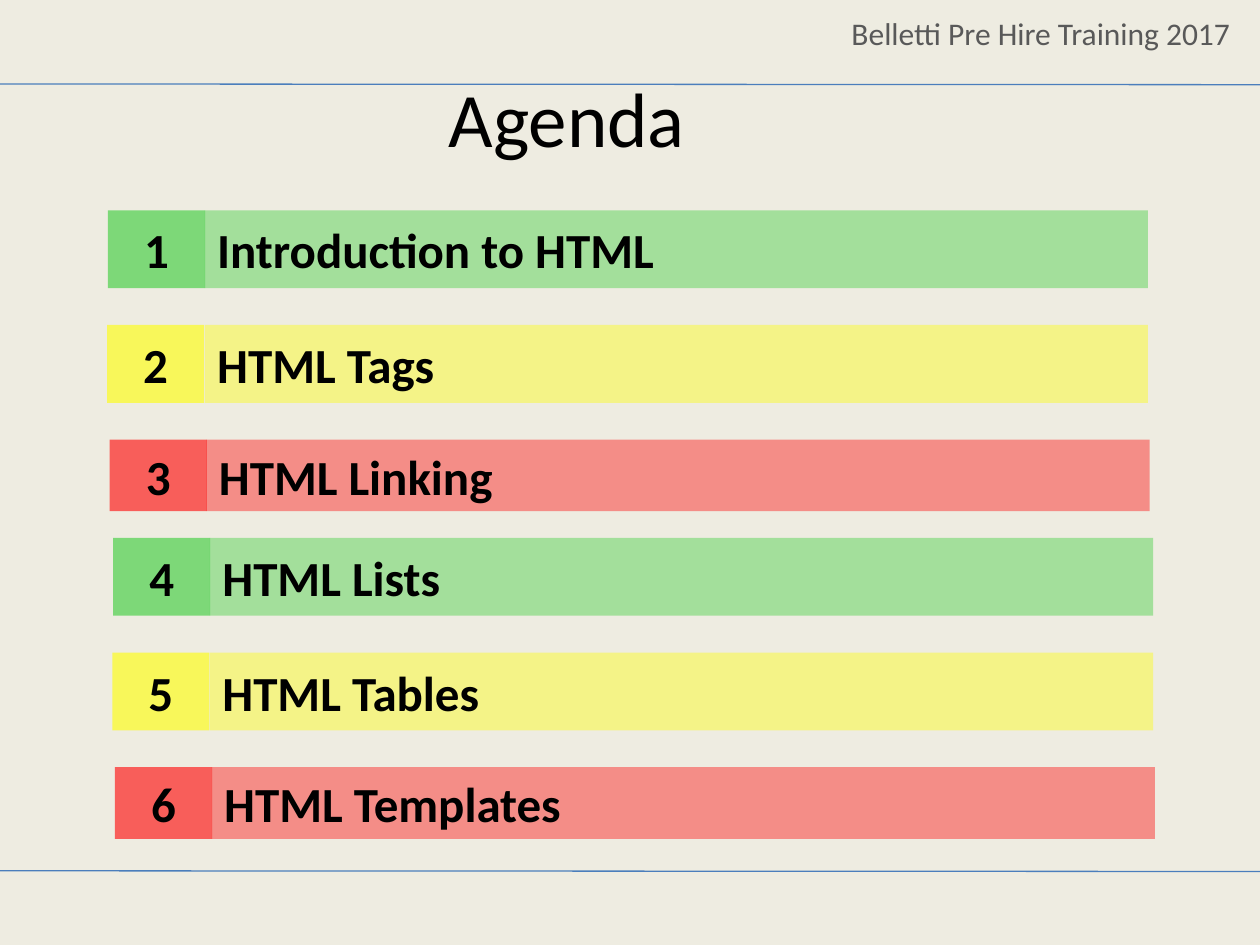
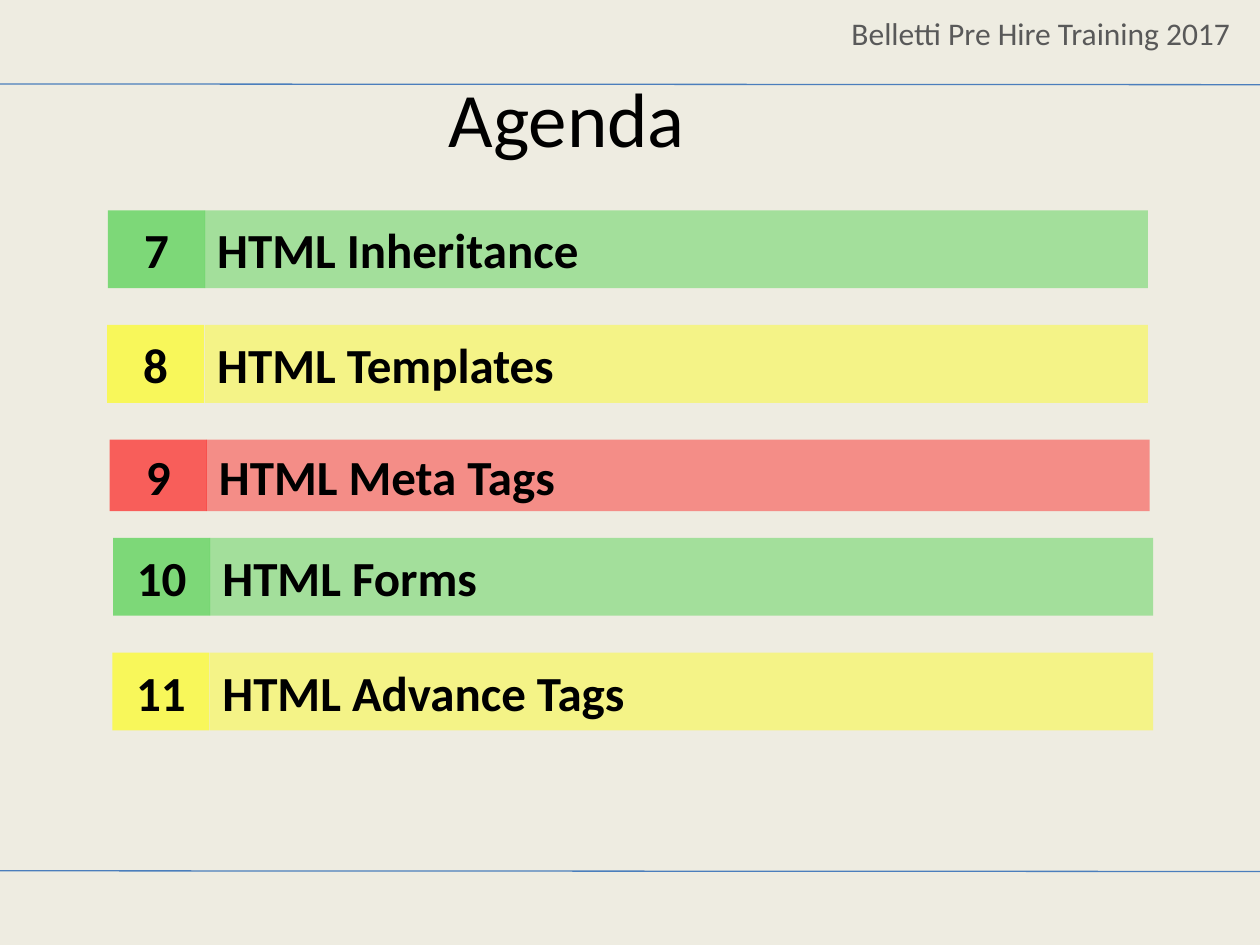
import dataclasses
import itertools

import lxml.etree
import pptx
import pptx.dml.color
import pptx.enum.shapes
import pptx.enum.text
import pptx.oxml.ns
import pptx.util

Pt = pptx.util.Pt
ALIGN = pptx.enum.text.PP_ALIGN
ANCHOR = pptx.enum.text.MSO_ANCHOR
SHAPE = pptx.enum.shapes.MSO_SHAPE
LINK = pptx.enum.shapes.MSO_CONNECTOR

FACE = "Calibri"
HEADER = "Belletti Pre Hire Training 2017"
COLORS = {
    "paper": "EEECE1",
    "rule": "4B7EBC",
    "muted": "595959",
    "text": "000000",
    "green": "33CC33",
    "yellow": "FFFF00",
    "red": "FF0000",
}


@dataclasses.dataclass(frozen=True)
class Box:
    left: float
    top: float
    width: float
    height: float

    def lengths(self) -> list:
        return [Pt(v) for v in (self.left, self.top, self.width, self.height)]


@dataclasses.dataclass(frozen=True)
class Style:
    size: float
    color: str = "text"
    bold: bool = False
    align: ALIGN = ALIGN.LEFT
    anchor: ANCHOR = ANCHOR.MIDDLE
    wrap: bool = True


@dataclasses.dataclass(frozen=True)
class Band:
    color: str
    left: float
    label: float
    height: float


TITLE = Style(44, align=ALIGN.CENTER)
HEAD = Style(18, color="muted", anchor=ANCHOR.TOP, wrap=False)
NUMBER = Style(28, bold=True, align=ALIGN.CENTER, wrap=False)
LABEL = Style(28, bold=True)

BANDS = [
    Band("green", 61.7, 117, 44.5),
    Band("yellow", 61.2, 117, 44.5),
    Band("red", 62.7, 118, 41),
]
TOP, STEP, GROUP, SHIFT = 120.2, 65.5, 187.2, 3
CELL, WIDE = 55.5, 539

DECK = [
    ["Introduction to HTML", "HTML Tags", "HTML Linking",
     "HTML Lists", "HTML Tables", "HTML Templates"],
    ["HTML Inheritance", "HTML Templates", "HTML Meta Tags",
     "HTML Forms", "HTML Advance Tags"],
]


def tint(name: str) -> pptx.dml.color.RGBColor:
    return pptx.dml.color.RGBColor.from_string(COLORS[name])


def assign(target, values: dict) -> None:
    for key, value in values.items():
        setattr(target, key, value)


def write(shape, text: str, style: Style) -> None:
    frame = shape.text_frame
    assign(frame, {"word_wrap": style.wrap, "vertical_anchor": style.anchor})
    line = frame.paragraphs[0]
    line.alignment = style.align
    run = line.add_run()
    run.text = text
    assign(run.font, {"name": FACE, "size": Pt(style.size), "bold": style.bold})
    run.font.color.rgb = tint(style.color)


def add_text(slide, box: Box, text: str, style: Style) -> None:
    write(slide.shapes.add_textbox(*box.lengths()), text, style)


def add_block(slide, box: Box, color: str, alpha: int, text: str, style: Style) -> None:
    shape = slide.shapes.add_shape(SHAPE.RECTANGLE, *box.lengths())
    shape.shadow.inherit = False
    shape.line.fill.background()
    shape.fill.solid()
    shape.fill.fore_color.rgb = tint(color)
    qn = pptx.oxml.ns.qn
    paint = shape.fill.fore_color and shape.element.spPr.find(
        qn("a:solidFill") + "/" + qn("a:srgbClr"))
    lxml.etree.SubElement(paint, qn("a:alpha"), val=str(alpha * 1000))
    write(shape, text, style)


def add_rule(slide, start: float, end: float) -> None:
    rule = slide.shapes.add_connector(LINK.STRAIGHT, 0, Pt(start), Pt(720), Pt(end))
    rule.line.color.rgb = tint("rule")
    rule.line.width = Pt(0.75)
    lxml.etree.SubElement(rule.element.spPr, pptx.oxml.ns.qn("a:effectLst"))


def add_frame(slide) -> None:
    add_rule(slide, 48, 48.4)
    add_text(slide, Box(479.5, 4.5, 240.5, 29), HEADER, HEAD)
    add_rule(slide, 497.6, 498)
    add_text(slide, Box(0, 21.6, 648, 90), "Agenda", TITLE)


def add_item(slide, index: int, number: int, text: str) -> None:
    group, row = divmod(index, len(BANDS))
    band = BANDS[row]
    top = TOP + group * GROUP + row * STEP
    push = group * SHIFT
    cell = Box(band.left + push, top, CELL, band.height)
    bar = Box(band.label + push, top, WIDE, band.height)
    add_block(slide, cell, band.color, 60, str(number), NUMBER)
    add_block(slide, bar, band.color, 40, text, LABEL)


def main() -> None:
    show = pptx.Presentation()
    assign(show, {"slide_width": Pt(720), "slide_height": Pt(540)})
    fill = show.slide_master.background.fill
    fill.solid()
    fill.fore_color.rgb = tint("paper")
    count = itertools.count(1)
    for items in DECK:
        slide = show.slides.add_slide(show.slide_layouts[6])
        add_frame(slide)
        for index, text in enumerate(items):
            add_item(slide, index, next(count), text)
    show.save("out.pptx")


main()
